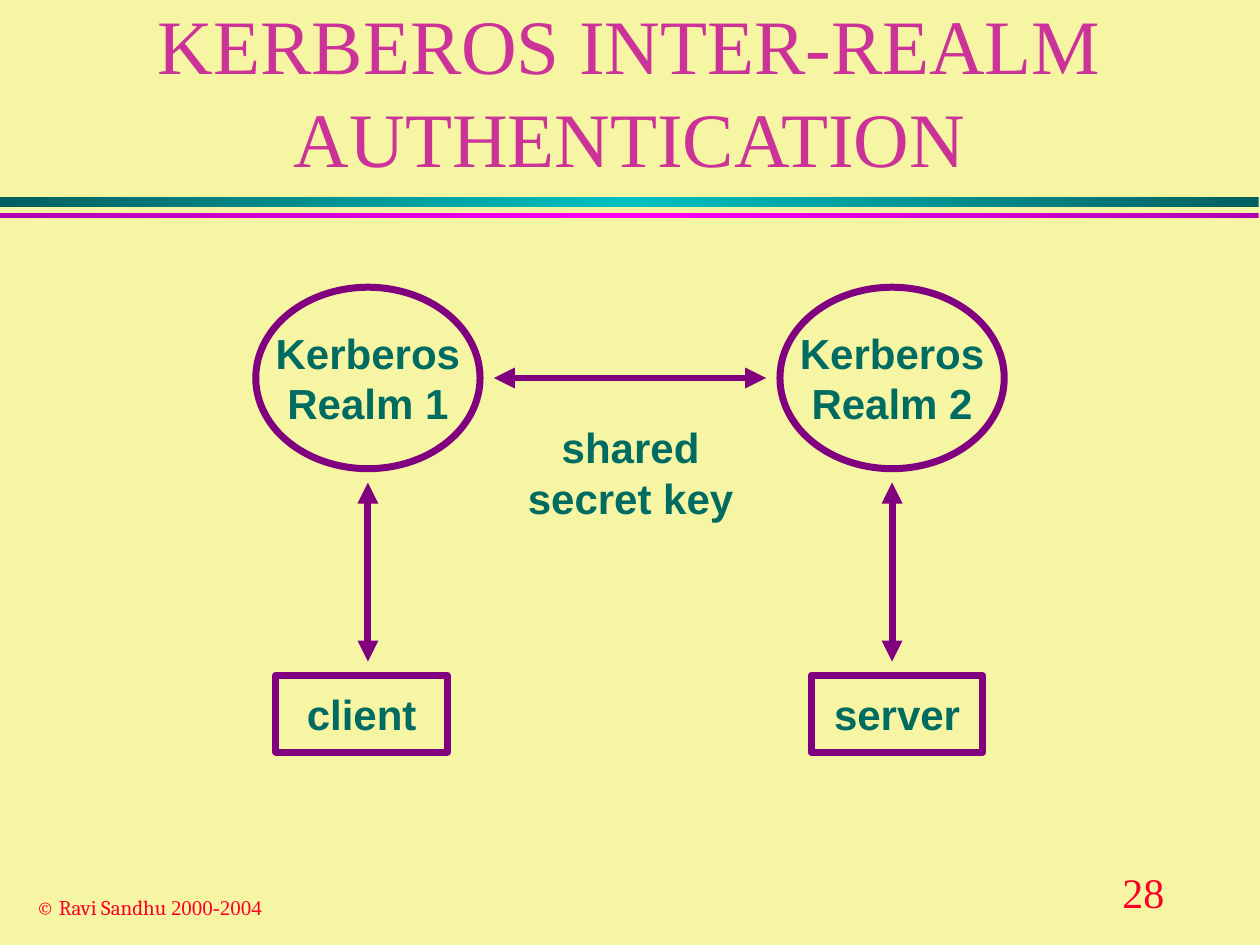
from copy import deepcopy

from pptx import Presentation
from pptx.dml.color import RGBColor
from pptx.enum.shapes import MSO_CONNECTOR, MSO_SHAPE
from pptx.enum.text import MSO_ANCHOR, PP_ALIGN
from pptx.oxml.ns import qn
from pptx.util import Inches, Pt
from lxml.etree import SubElement

COLORS = {
    "background": "F5F5A3", "title": "CC3399", "label": "006B61",
    "outline": "800080", "footer": "FC0128",
    "teal dark": "005F5F", "teal": "00C0C0",
    "magenta dark": "B100B1", "magenta": "FF00FF",
}
TITLE = "KERBEROS INTER-REALM AUTHENTICATION"
LABEL = {"size": Pt(24), "name": "Arial", "bold": True}
SERIF = "Times New Roman"
LINE_WIDTH = Pt(4)

# top, height, edge colour, middle colour
BARS = [(1.56, 0.08, "teal dark", "teal"),
        (1.69, 0.04, "magenta dark", "magenta")]

# realm lines, machine name, centre of the column, left of the machine box
COLUMNS = [(["Kerberos", "Realm 1"], "client", 2.92, 2.19),
           (["Kerberos", "Realm 2"], "server", 7.08, 6.44)]
REALM_TOP, REALM_WIDTH, REALM_HEIGHT = 2.28, 1.78, 1.44
MACHINE_TOP, MACHINE_WIDTH, MACHINE_HEIGHT = 5.36, 1.36, 0.61
ARROW_GAP = 0.11
SHARED_KEY = ["shared", "secret key"]

# place, then (text, font) spans
FOOTERS = [
    ((0.19, 7.05, 2.15, 0.3), 12,
     [("© Ravi Sandhu ", "Cambria"), ("2000-2004", SERIF)]),
    ((8.81, 6.83, 1.19, 0.5), 24, [("28", SERIF)]),
]


def color(name):
    """Return the named colour."""
    return RGBColor.from_string(COLORS[name])


def add_span(para, text, color_name, formats):
    """Add one formatted run to a paragraph."""
    span = para.add_run()
    span.text = text
    for attribute, value in formats.items():
        setattr(span.font, attribute, value)
    span.font.color.rgb = color(color_name)


def write_label(box, lines):
    """Write centred label lines, one paragraph each."""
    frame = box.text_frame
    frame.word_wrap = False
    for index, line in enumerate(lines):
        para = frame.add_paragraph() if index else frame.paragraphs[0]
        para.alignment = PP_ALIGN.CENTER
        add_span(para, line, "label", LABEL)


def add_node(page, kind, place, lines):
    """Add an outlined shape with a centred label."""
    node = page.shapes.add_shape(kind, *map(Inches, place))
    node.shadow.inherit = False
    node.fill.background()
    node.line.color.rgb = color("outline")
    node.line.width = LINE_WIDTH
    node.text_frame.vertical_anchor = MSO_ANCHOR.MIDDLE
    write_label(node, lines)


def add_arrow(page, *ends):
    """Add a straight line with an arrowhead at both ends."""
    arrow = page.shapes.add_connector(MSO_CONNECTOR.STRAIGHT, *map(Inches, ends))
    arrow.line.color.rgb = color("outline")
    arrow.line.width = LINE_WIDTH
    line = arrow.line._get_or_add_ln()
    for tag in ("a:headEnd", "a:tailEnd"):
        SubElement(line, qn(tag), type="triangle")
    SubElement(arrow._element.spPr, qn("a:effectLst"))


def add_bar(page, top, height, edge, middle):
    """Add a full-width bar, brightest in the middle."""
    bar = page.shapes.add_shape(
        MSO_SHAPE.RECTANGLE, *map(Inches, (0, top, 9.99, height)))
    bar.shadow.inherit = False
    bar.line.fill.background()
    bar.fill.gradient()
    bar.fill.gradient_angle = 180
    stops = bar._element.spPr.find(".//" + qn("a:gsLst"))
    stops.insert(1, deepcopy(stops[0]))
    for stop, position, name in zip(
            bar.fill.gradient_stops, (0, 0.5, 1), (edge, middle, edge)):
        stop.position = position
        stop.color.rgb = color(name)


deck = Presentation()
deck.slide_width, deck.slide_height = Inches(10), Inches(7.5)
page = deck.slides.add_slide(deck.slide_layouts[5])
page.background.fill.solid()
page.background.fill.fore_color.rgb = color("background")

for bar_values in BARS:
    add_bar(page, *bar_values)

for place, size, spans in FOOTERS:
    box = page.shapes.add_textbox(*map(Inches, place))
    box.text_frame.word_wrap = True
    for text, font in spans:
        add_span(box.text_frame.paragraphs[0], text, "footer",
                 {"size": Pt(size), "name": font})

title = page.shapes.title
title.left, title.top, title.width, title.height = map(
    Inches, (0.75, 0.25, 8.5, 1.25))
title.text_frame.vertical_anchor = MSO_ANCHOR.BOTTOM
title_para = title.text_frame.paragraphs[0]
title_para.alignment = PP_ALIGN.CENTER
add_span(title_para, TITLE, "title", {"size": Pt(44), "name": SERIF})

for realm, machine, center, machine_left in COLUMNS:
    add_node(page, MSO_SHAPE.OVAL,
             (center - REALM_WIDTH / 2, REALM_TOP, REALM_WIDTH, REALM_HEIGHT), realm)
    add_node(page, MSO_SHAPE.RECTANGLE,
             (machine_left, MACHINE_TOP, MACHINE_WIDTH, MACHINE_HEIGHT), [machine])
    add_arrow(page, center, REALM_TOP + REALM_HEIGHT + ARROW_GAP,
              center, MACHINE_TOP - ARROW_GAP)

left_center, right_center = (column[2] for column in COLUMNS)
reach = REALM_WIDTH / 2 + ARROW_GAP
realm_middle = REALM_TOP + REALM_HEIGHT / 2
add_arrow(page, left_center + reach, realm_middle,
          right_center - reach, realm_middle)
shared_key = page.shapes.add_textbox(*map(Inches, (4.09, 3.3, 1.83, 0.9)))
write_label(shared_key, SHARED_KEY)

deck.save("out.pptx")
